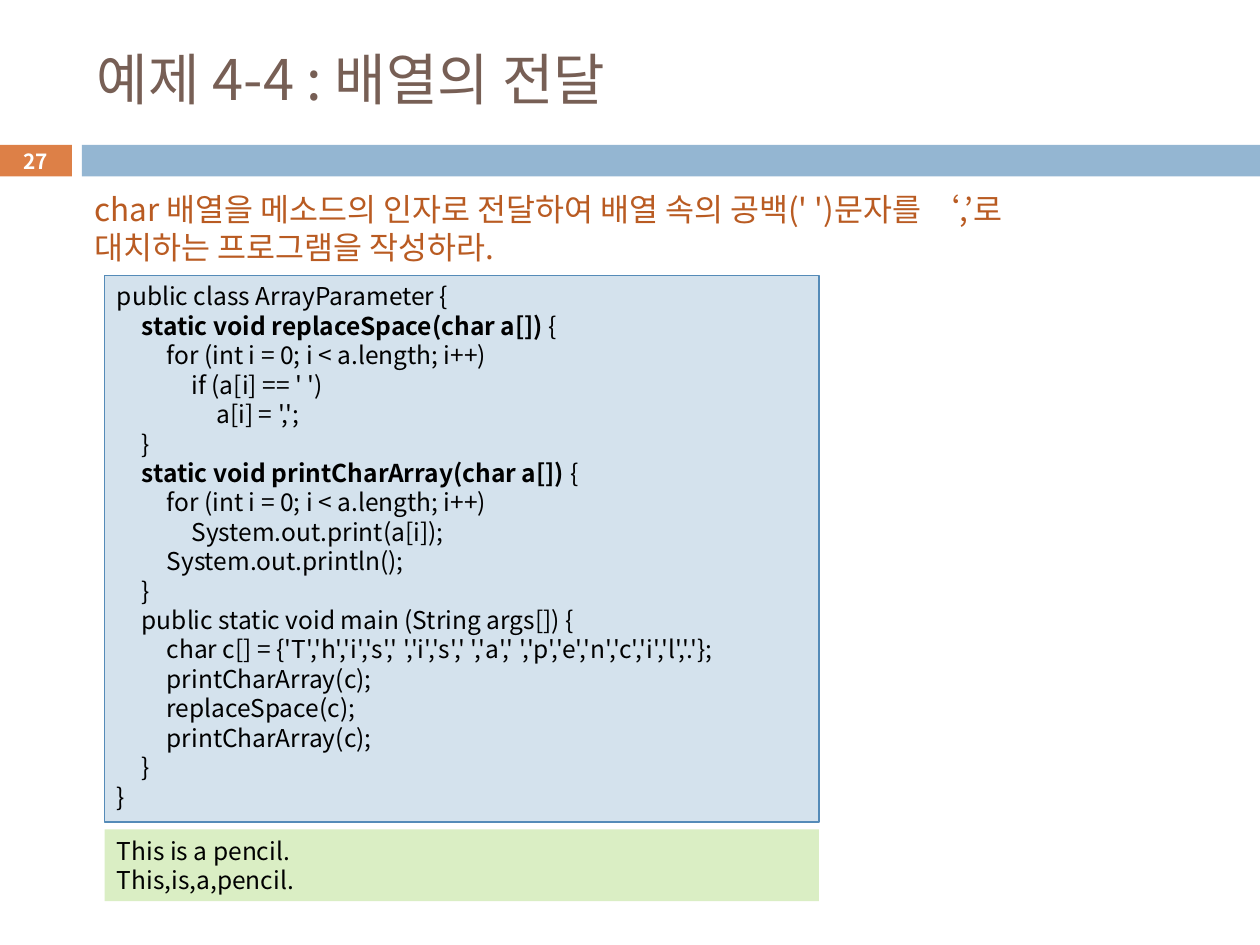
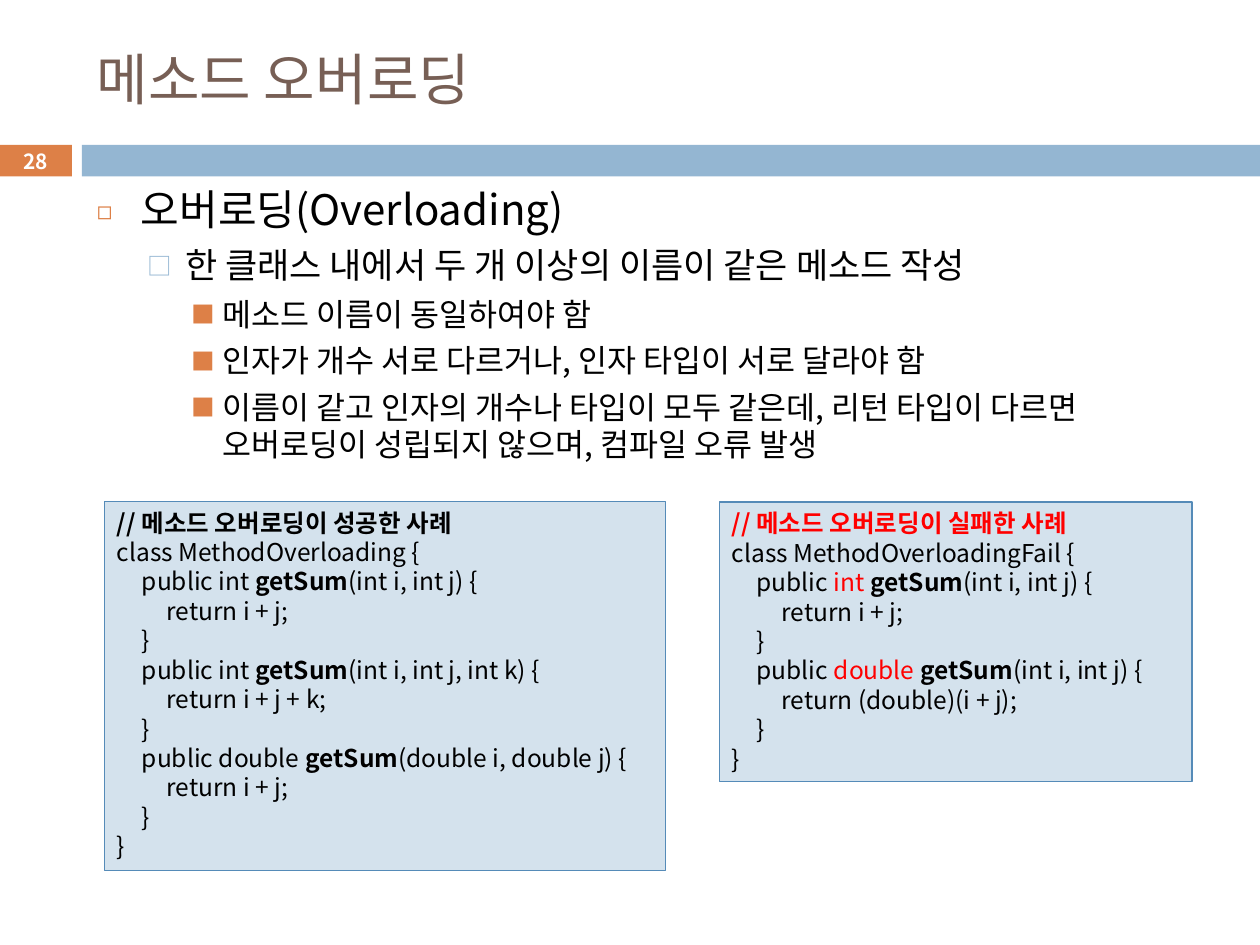
"""Build two lecture slides on Java array arguments and method overloading."""
from dataclasses import dataclass

from lxml.etree import SubElement
from pptx import Presentation
from pptx.dml.color import RGBColor
from pptx.enum.shapes import MSO_SHAPE
from pptx.enum.text import MSO_ANCHOR, PP_ALIGN
from pptx.oxml.ns import qn
from pptx.slide import Slide
from pptx.text.text import TextFrame, _Paragraph
from pptx.util import Pt


@dataclass(frozen=True)
class Theme:
    font: str = "Noto Sans CJK KR"
    title: str = "775F55"
    accent: str = "DD8047"
    band: str = "94B6D2"
    prompt: str = "B95B22"
    code_fill: str = "D4E2ED"
    code_line: str = "558BB8"
    output_fill: str = "DAEEC4"
    text: str = "000000"
    white: str = "FFFFFF"
    warning: str = "FF0000"
    title_size: float = 32
    prompt_size: float = 18
    code_size: float = 14
    number_size: float = 11.9
    tab: float = 14.2


THEME = Theme()


@dataclass(frozen=True)
class Area:
    left: float
    top: float
    width: float
    height: float

    def lengths(self) -> tuple[Pt, Pt, Pt, Pt]:
        return Pt(self.left), Pt(self.top), Pt(self.width), Pt(self.height)


@dataclass(frozen=True)
class Span:
    text: str
    bold: bool = False
    color: str = THEME.text


@dataclass(frozen=True)
class Level:
    size: float
    margin: float
    hanging: float
    before: float
    bullet: str
    bullet_color: str
    bullet_percent: int


@dataclass(frozen=True)
class Panel:
    area: Area
    lines: list[list[Span]]
    fill: str = THEME.code_fill
    line: str | None = THEME.code_line


LEVELS = (
    Level(24, 25.2, 25.2, 0, "◻", THEME.accent, 60),
    Level(20, 50.4, 21.6, 5.5, "□", THEME.band, 70),
    Level(18, 72, 18, 5, "■", THEME.accent, 75),
)
NUMBER_AREA = Area(-0.72, 82.8, 41.76, 18)
BAND_AREA = Area(46.8, 82.8, 673.2, 18)
TITLE_AREA = Area(48.24, 18, 642.24, 53.28)
PROMPT_AREA = Area(46.8, 105.12, 578.16, 51.12)
BODY_AREA = Area(48.24, 101.52, 642.24, 185.76)


def plain(*lines: str) -> list[list[Span]]:
    """Turn each string into a line with one plain span."""
    return [[Span(line)] for line in lines]


def signature(before: str, after: str, kind: str, kind_color: str = THEME.text) -> list[Span]:
    """Return a getSum declaration with its name in bold."""
    return [Span(before), Span(kind, color=kind_color), Span("getSum", bold=True), Span(after)]


def add_text(para: _Paragraph, text: str, *, size: float, color: str = THEME.text,
             bold: bool = False) -> None:
    """Append formatted text to a paragraph."""
    span = para.add_run()
    span.text = text
    span.font.name = THEME.font
    span.font.size = Pt(size)
    span.font.bold = bold
    span.font.color.rgb = RGBColor.from_string(color)
    SubElement(span.font._element, qn("a:ea"), typeface=THEME.font)


def add_rectangle(page: Slide, area: Area, fill: str, line: str | None = None) -> TextFrame:
    """Draw a flat rectangle and return its text frame."""
    box = page.shapes.add_shape(MSO_SHAPE.RECTANGLE, *area.lengths())
    box.shadow.inherit = False
    box.fill.solid()
    box.fill.fore_color.rgb = RGBColor.from_string(fill)
    if line:
        box.line.color.rgb = RGBColor.from_string(line)
        box.line.width = Pt(0.75)
    else:
        box.line.fill.background()
    return box.text_frame


def add_box(page: Slide, area: Area, anchor: MSO_ANCHOR = MSO_ANCHOR.TOP) -> TextFrame:
    """Add a wrapping text box and return its text frame."""
    frame = page.shapes.add_textbox(*area.lengths()).text_frame
    frame.word_wrap = True
    frame.vertical_anchor = anchor
    return frame


def next_paragraph(frame: TextFrame, index: int) -> _Paragraph:
    """Return the first paragraph or append another."""
    return frame.add_paragraph() if index else frame.paragraphs[0]


def add_panel(page: Slide, panel: Panel) -> None:
    """Draw a filled panel of code or program output."""
    frame = add_rectangle(page, panel.area, panel.fill, panel.line)
    frame.word_wrap = True
    frame.vertical_anchor = MSO_ANCHOR.TOP
    for index, line in enumerate(panel.lines):
        para = next_paragraph(frame, index)
        para.alignment = PP_ALIGN.LEFT
        tabs = SubElement(para._p.get_or_add_pPr(), qn("a:tabLst"))
        for stop in range(1, 5):
            SubElement(tabs, qn("a:tab"), pos=str(Pt(THEME.tab * stop)), algn="l")
        for span in line:
            add_text(para, span.text, size=THEME.code_size, color=span.color, bold=span.bold)


def add_bullets(page: Slide, items: list[tuple[int, str]]) -> None:
    """Write the bulleted body text."""
    frame = add_box(page, BODY_AREA)
    for index, (depth, text) in enumerate(items):
        level = LEVELS[depth]
        para = next_paragraph(frame, index)
        para.level = depth
        properties = para._p.get_or_add_pPr()
        properties.set("marL", str(Pt(level.margin)))
        properties.set("indent", str(-Pt(level.hanging)))
        color = SubElement(properties, qn("a:buClr"))
        SubElement(color, qn("a:srgbClr"), val=level.bullet_color)
        SubElement(properties, qn("a:buSzPct"), val=str(level.bullet_percent * 1000))
        SubElement(properties, qn("a:buFont"), typeface=THEME.font)
        SubElement(properties, qn("a:buChar"), char=level.bullet)
        para.space_before = Pt(level.before)
        add_text(para, text, size=level.size)


def add_page(deck: Presentation, title: str, number: int) -> Slide:
    """Add a page with its bands, title and number."""
    page = deck.slides.add_slide(deck.slide_layouts[6])
    add_rectangle(page, BAND_AREA, THEME.band)
    frame = add_rectangle(page, NUMBER_AREA, THEME.accent)
    frame.margin_left = frame.margin_right = frame.margin_top = frame.margin_bottom = 0
    frame.vertical_anchor = MSO_ANCHOR.MIDDLE
    frame.paragraphs[0].alignment = PP_ALIGN.CENTER
    add_text(frame.paragraphs[0], str(number), size=THEME.number_size,
             color=THEME.white, bold=True)
    heading = add_box(page, TITLE_AREA, MSO_ANCHOR.MIDDLE)
    add_text(heading.paragraphs[0], title, size=THEME.title_size, color=THEME.title)
    return page


def build_array_page(deck: Presentation) -> None:
    """Build the array argument example."""
    page = add_page(deck, "예제 4-4 : 배열의 전달", 27)
    prompt = add_box(page, PROMPT_AREA)
    add_text(prompt.paragraphs[0],
             "char 배열을 메소드의 인자로 전달하여 배열 속의 공백(' ')문자를 ‘,’로 "
             "대치하는 프로그램을 작성하라.", size=THEME.prompt_size, color=THEME.prompt)
    code = [
        *plain("public class ArrayParameter {"),
        [Span("\t"), Span("static void replaceSpace(char a[]) ", bold=True), Span("{")],
        *plain("\t\tfor (int i = 0; i < a.length; i++)",
               "\t\t\tif (a[i] == ' ')",
               "\t\t\t\ta[i] = ',';",
               "\t}"),
        [Span("\t"), Span("static void printCharArray(char a[]) ", bold=True), Span("{")],
        *plain("\t\tfor (int i = 0; i < a.length; i++)",
               "\t\t\tSystem.out.print(a[i]);",
               "\t\tSystem.out.println();",
               "\t}",
               "\tpublic static void main (String args[]) {",
               "\t\tchar c[] = {'T','h','i','s',' ','i','s',' ','a',' ',"
               "'p','e','n','c','i','l','.'};",
               "\t\tprintCharArray(c);",
               "\t\treplaceSpace(c);",
               "\t\tprintCharArray(c);",
               "\t}",
               "}"),
    ]
    add_panel(page, Panel(Area(59.76, 157.32, 408.24, 312.48), code))
    add_panel(page, Panel(Area(59.76, 474, 408.24, 41.04),
                          plain("This is a pencil.", "This,is,a,pencil."),
                          THEME.output_fill, None))


def build_overloading_page(deck: Presentation) -> None:
    """Build the method overloading comparison."""
    page = add_page(deck, "메소드 오버로딩", 28)
    add_bullets(page, [
        (0, "오버로딩(Overloading)"),
        (1, "한 클래스 내에서 두 개 이상의 이름이 같은 메소드 작성"),
        (2, "메소드 이름이 동일하여야 함"),
        (2, "인자가 개수 서로 다르거나, 인자 타입이 서로 달라야 함"),
        (2, "이름이 같고 인자의 개수나 타입이 모두 같은데, 리턴 타입이 다르면 "
            "오버로딩이 성립되지 않으며, 컴파일 오류 발생"),
    ])
    success = [
        [Span("// 메소드 오버로딩이 성공한 사례", bold=True)],
        *plain("class MethodOverloading {"),
        signature("\tpublic ", "(int i, int j) {", "int "),
        *plain("\t\treturn i + j;", "\t}"),
        signature("\tpublic ", "(int i, int j, int k) {", "int "),
        *plain("\t\treturn i + j + k;", "\t}"),
        signature("\tpublic ", "(double i, double j) {", "double "),
        *plain("\t\treturn i + j;", "\t}", "}"),
    ]
    failure = [
        [Span("// 메소드 오버로딩이 실패한 사례", bold=True, color=THEME.warning)],
        *plain("class MethodOverloadingFail {"),
        signature("\tpublic ", "(int i, int j) {", "int ", THEME.warning),
        *plain("\t\treturn i + j;", "\t}"),
        signature("\tpublic ", "(int i, int j) {", "double ", THEME.warning),
        *plain("\t\treturn (double)(i + j);", "\t}", "}"),
    ]
    add_panel(page, Panel(Area(59.76, 286.56, 320.4, 210.96), success))
    add_panel(page, Panel(Area(411.12, 286.92, 270, 159.84), failure))


def main() -> None:
    """Build and save the deck."""
    deck = Presentation()
    deck.slide_width, deck.slide_height = Pt(720), Pt(540)
    build_array_page(deck)
    build_overloading_page(deck)
    deck.save("out.pptx")


if __name__ == "__main__":
    main()
